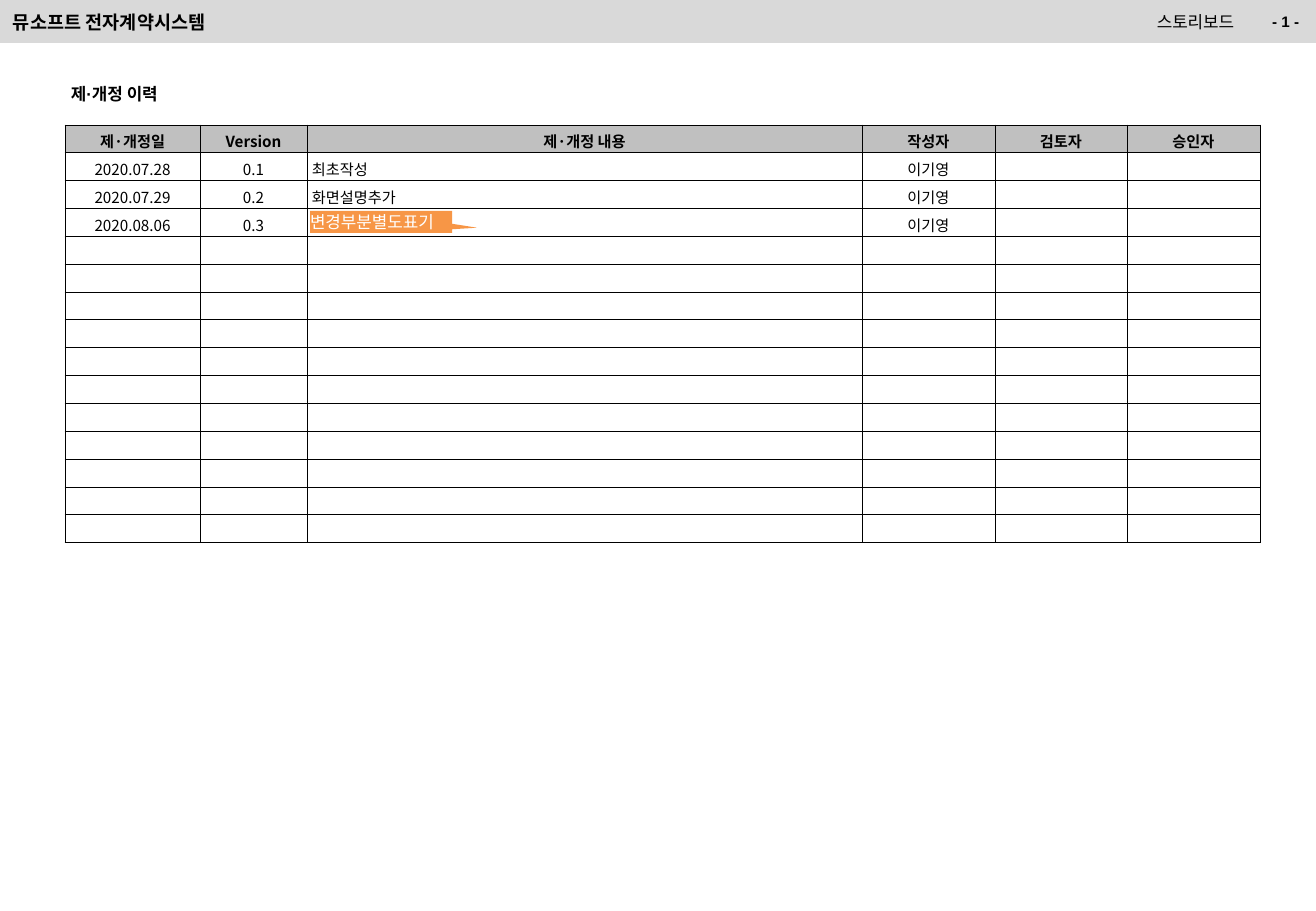
from lxml.etree import SubElement
from pptx import Presentation
from pptx.dml.color import RGBColor
from pptx.enum.shapes import MSO_SHAPE
from pptx.enum.text import MSO_ANCHOR, PP_ALIGN
from pptx.oxml.ns import qn
from pptx.util import Emu, Pt

BLACK = RGBColor(0x00, 0x00, 0x00)
WHITE = RGBColor(0xFF, 0xFF, 0xFF)
BAND_GRAY = RGBColor(0xD9, 0xD9, 0xD9)
HEAD_GRAY = RGBColor(0xC0, 0xC0, 0xC0)
ORANGE = RGBColor(0xF7, 0x96, 0x46)
KOREAN = "Noto Sans CJK KR"
LEFT, CENTER, RIGHT = PP_ALIGN.LEFT, PP_ALIGN.CENTER, PP_ALIGN.RIGHT

HEADERS = ["제·개정일", "Version", "제·개정 내용", "작성자", "검토자", "승인자"]
HISTORY = [
    ["2020.07.28", "0.1", "최초작성", "이기영"],
    ["2020.07.29", "0.2", "화면설명추가", "이기영"],
    ["2020.08.06", "0.3", "", "이기영"],
]
COLUMN_WIDTHS = [135, 107, 555, 133, 132, 133]
ROW_COUNT = 15
CONTENT_COLUMN = 2


def px(n):
    return Emu(round(n * 914400 / 121.5))


class Board:
    def __init__(self, slide):
        self.slide = slide

    def set_text(self, tf, text, size, color=BLACK, bold=False, align=LEFT, font=KOREAN):
        p = tf.paragraphs[0]
        p.alignment = align
        p.font.size, p.font.bold, p.font.name = Pt(size), bold, font
        p.font.color.rgb = color
        props = p._p.pPr.find(qn("a:defRPr"))
        SubElement(props, qn("a:ea"), typeface=KOREAN)
        if text:
            p.add_run().text = text
        else:
            SubElement(p._p, qn("a:endParaRPr"), sz=str(size * 100))

    def text(self, x, y, w, h, text, size, wrap=True, **style):
        sp = self.slide.shapes.add_textbox(px(x), px(y), px(w), px(h))
        sp.text_frame.word_wrap = wrap
        self.set_text(sp.text_frame, text, size, **style)

    def shape(self, kind, x, y, w, h, fill):
        sp = self.slide.shapes.add_shape(kind, px(x), px(y), px(w), px(h))
        sp.shadow.inherit = False
        sp.fill.solid()
        sp.fill.fore_color.rgb = fill
        sp.line.fill.background()
        return sp

    def callout(self, x, y, w, h, text, tip):
        sp = self.shape(MSO_SHAPE.RECTANGULAR_CALLOUT, x, y, w, h, ORANGE)
        sp.adjustments[0], sp.adjustments[1] = tip
        tf = sp.text_frame
        tf.margin_left = tf.margin_right = tf.margin_top = tf.margin_bottom = 0
        tf.vertical_anchor = MSO_ANCHOR.MIDDLE
        tf.word_wrap = True
        self.set_text(tf, text, 10, color=WHITE)

    def borders(self, cell):
        props = cell._tc.get_or_add_tcPr()
        for i, side in enumerate(("a:lnL", "a:lnR", "a:lnT", "a:lnB")):
            ln = props.makeelement(qn(side), {"w": str(int(Pt(0.5)))})
            color = SubElement(SubElement(ln, qn("a:solidFill")), qn("a:srgbClr"))
            color.set("val", str(BLACK))
            props.insert(i, ln)

    def table(self, x, y, h, widths, rows):
        frame = self.slide.shapes.add_table(
            len(rows), len(widths), px(x), px(y), px(sum(widths)), px(h))
        table = frame.table
        for column, width in zip(table.columns, widths):
            column.width = px(width)
        for r, values in enumerate(rows):
            table.rows[r].height = px(h / len(rows))
            for c, value in enumerate(values):
                cell = table.cell(r, c)
                cell.margin_left = cell.margin_right = cell.margin_top = px(5)
                cell.margin_bottom = 0
                cell.vertical_anchor = MSO_ANCHOR.TOP
                head = r == 0
                if head:
                    cell.fill.solid()
                    cell.fill.fore_color.rgb = HEAD_GRAY
                else:
                    cell.fill.background()
                align = LEFT if c == CONTENT_COLUMN and not head else CENTER
                self.set_text(cell.text_frame, value, 9, bold=head, align=align)
                self.borders(cell)


def main():
    prs = Presentation()
    prs.slide_width, prs.slide_height = px(1316), px(911)
    board = Board(prs.slides.add_slide(prs.slide_layouts[6]))

    # Header band
    board.shape(MSO_SHAPE.RECTANGLE, 0, 0, 1316, 43, BAND_GRAY)
    board.text(914, 6, 332, 35, "스토리보드", 10, align=RIGHT)
    board.text(1, 5, 914, 35, "뮤소프트 전자계약시스템", 11, bold=True)
    board.text(1216, 6, 95, 30, "- 1 -", 9, bold=True, align=RIGHT, font="Arial")

    # Revision history table
    rows = [HEADERS] + HISTORY
    rows += [[]] * (ROW_COUNT - len(rows))
    rows = [row + [""] * (len(HEADERS) - len(row)) for row in rows]
    board.table(65, 125, 418, COLUMN_WIDTHS, rows)

    # Section title and change marker
    board.text(59, 78, 120, 33, "제·개정 이력", 10, wrap=False, bold=True, font="Arial")
    board.callout(310, 211, 142, 22, "변경부분별도표기", (0.675, 0.262))

    prs.save("out.pptx")


if __name__ == "__main__":
    main()
